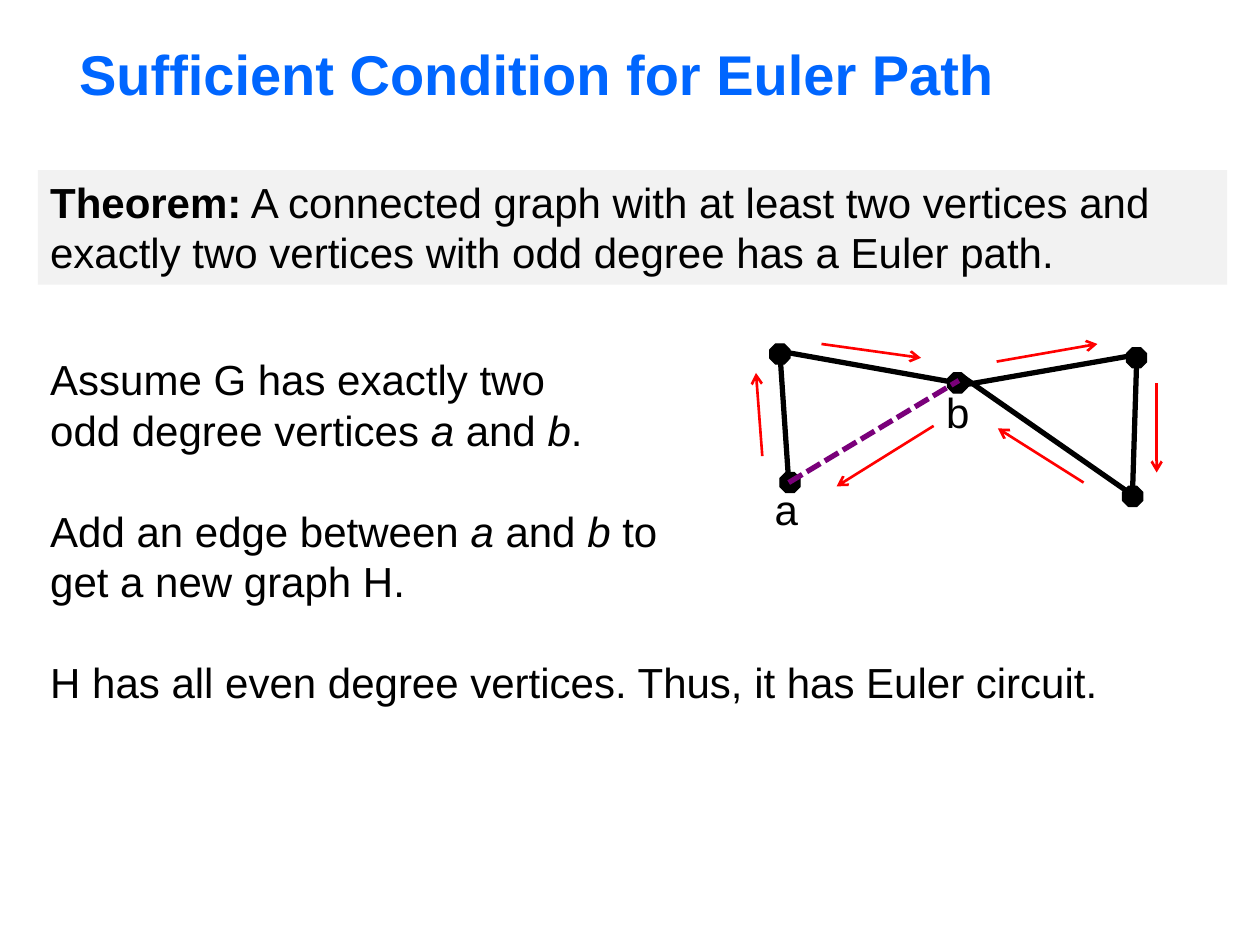
from pptx import Presentation
from pptx.dml.color import RGBColor
from pptx.enum.dml import MSO_LINE
from pptx.enum.shapes import MSO_CONNECTOR, MSO_SHAPE
from pptx.enum.text import MSO_ANCHOR, PP_ALIGN
from pptx.oxml.ns import qn
from pptx.util import Inches, Pt
from lxml import etree

BLACK = RGBColor(0x00, 0x00, 0x00)
BLUE = RGBColor(0x00, 0x66, 0xFF)
GRAY = RGBColor(0xF2, 0xF2, 0xF2)
RED = RGBColor(0xFF, 0x00, 0x00)
PURPLE = RGBColor(0x7A, 0x00, 0x7A)
FONT = "Arial"
DASH = MSO_LINE.SQUARE_DOT
STRAIGHT = MSO_CONNECTOR.STRAIGHT
RECT, OCTAGON = MSO_SHAPE.RECTANGLE, MSO_SHAPE.OCTAGON
TOP, MIDDLE = MSO_ANCHOR.TOP, MSO_ANCHOR.MIDDLE
LEFT = PP_ALIGN.LEFT
DOT = 0.16
PITCH = Pt(28.8)

THEOREM = [[
    ("Theorem:", "b"),
    (" A connected graph with at least two vertices and exactly two "
     "vertices with odd degree has a Euler path.", ""),
]]
PROOF = [
    [("Assume G has exactly two", "")],
    [("odd degree vertices ", ""), ("a", "i"), (" and ", ""), ("b", "i"), (".", "")],
    [("Add an edge between ", ""), ("a", "i"), (" and ", ""), ("b", "i"), (" to", "")],
    [("get a new graph H.", "")],
    [("H has all even degree vertices. Thus, it has Euler circuit.", "")],
]
DOTS = [(8.94, 2.76), (7.52, 2.96), (6.19, 3.75), (6.11, 2.73), (8.91, 3.86)]
EDGES = [
    (8.94, 2.83, 7.68, 3.05),
    (6.26, 3.83, 6.19, 2.8),
    (6.26, 2.8, 7.6, 3.04),
    (8.99, 3.86, 9.02, 2.91),
    (8.99, 3.93, 7.64, 2.99),
]
ARROWS = [
    (6.52, 2.73, 7.31, 2.84),
    (7.91, 2.87, 8.71, 2.73),
    (9.18, 3.04, 9.18, 3.75),
    (8.6, 3.83, 7.92, 3.4),
    (6.05, 3.62, 6, 2.96),
    (7.41, 3.38, 6.64, 3.86),
]


def write(shape, paras, size=24, color=BLACK, anchor=TOP, wrap=True,
          pitch=None, gaps=()):
    frame = shape.text_frame
    frame.word_wrap = wrap
    frame.vertical_anchor = anchor
    for i, runs in enumerate(paras):
        para = frame.paragraphs[0] if i == 0 else frame.add_paragraph()
        para.alignment = LEFT
        if pitch:
            para.line_spacing = pitch
        if i in gaps:
            para.space_before = pitch
        for text, style in runs:
            run = para.add_run()
            run.text = text
            font = run.font
            font.name, font.size = FONT, Pt(size)
            font.color.rgb = color
            font.bold = "b" in style
            font.italic = "i" in style


def add_text(slide, box, paras, **form):
    shape = slide.shapes.add_textbox(*map(Inches, box))
    write(shape, paras, **form)


def add_shape(slide, kind, box, fill):
    shape = slide.shapes.add_shape(kind, *map(Inches, box))
    shape.shadow.inherit = False
    shape.fill.solid()
    shape.fill.fore_color.rgb = fill
    shape.line.fill.background()
    return shape


def add_dot(slide, left, top):
    dot = add_shape(slide, OCTAGON, (left, top, DOT, DOT), BLACK)
    dot.line.color.rgb = BLACK
    dot.line.width = Pt(0.75)


def add_line(slide, ends, color=BLACK, width=3, dash=None, arrow=False):
    link = slide.shapes.add_connector(STRAIGHT, *map(Inches, ends))
    link.line.color.rgb = color
    link.line.width = Pt(width)
    if dash:
        link.line.dash_style = dash
    props = link._element.spPr
    if arrow:
        tail = etree.SubElement(props.find(qn("a:ln")), qn("a:tailEnd"))
        tail.set("type", "arrow")
    etree.SubElement(props, qn("a:effectLst"))


def main():
    deck = Presentation()
    deck.slide_width, deck.slide_height = Inches(10), Inches(7.5)
    slide = deck.slides.add_slide(deck.slide_layouts[6])

    add_text(slide, (0.53, 0.24, 8.5, 0.68),
             [[("Sufficient Condition for Euler Path", "b")]],
             size=32, color=BLUE, anchor=MIDDLE)
    panel = add_shape(slide, RECT, (0.3, 1.35, 9.44, 0.91), GRAY)
    write(panel, THEOREM, pitch=PITCH)

    for spot in DOTS:
        add_dot(slide, *spot)
    for ends in EDGES:
        add_line(slide, ends)
    for name, left, top in [("a", 6.05, 3.79), ("b", 7.41, 3.02)]:
        add_text(slide, (left, top, 0.39, 0.5), [[(name, "")]], wrap=False)
    add_text(slide, (0.3, 2.76, 8.69, 2.93), PROOF, wrap=False,
             pitch=PITCH, gaps=(2, 4))
    add_line(slide, (6.26, 3.83, 7.61, 3.02), color=PURPLE, dash=DASH)
    for ends in ARROWS:
        add_line(slide, ends, color=RED, width=1.5, arrow=True)

    deck.save("out.pptx")


if __name__ == "__main__":
    main()
